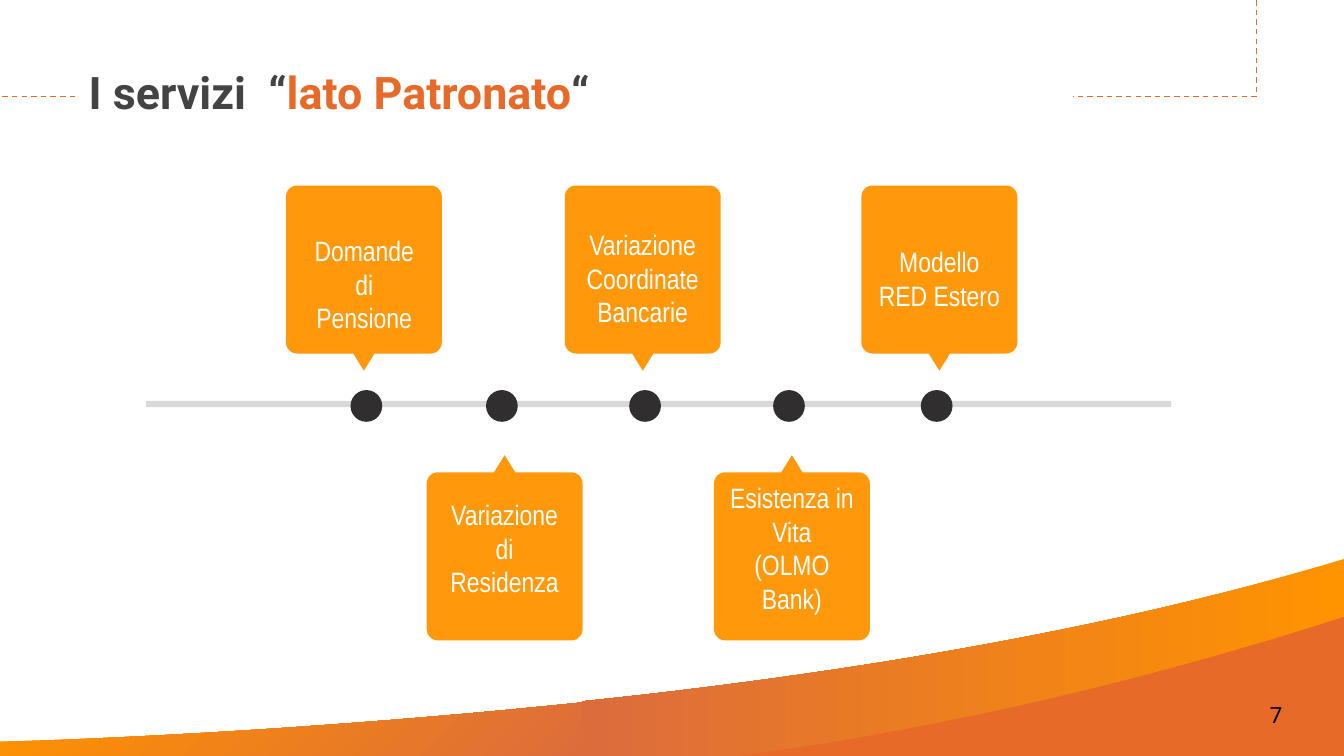
from lxml import etree
from pptx import Presentation
from pptx.dml.color import RGBColor
from pptx.enum.dml import MSO_LINE
from pptx.enum.shapes import MSO_CONNECTOR, MSO_SHAPE
from pptx.enum.text import MSO_ANCHOR, MSO_AUTO_SIZE, PP_ALIGN
from pptx.oxml.ns import qn
from pptx.util import Pt

CENTER, LEFT = PP_ALIGN.CENTER, PP_ALIGN.LEFT
TOP, MIDDLE = MSO_ANCHOR.TOP, MSO_ANCHOR.MIDDLE
DASH = MSO_LINE.DASH
ORANGE = RGBColor(0xFF, 0x98, 0x0B)
BRIGHT_ORANGE = RGBColor(0xFF, 0x93, 0x00)
RUST = RGBColor(0xDC, 0x6C, 0x3C)
ACCENT = RGBColor(0xE7, 0x6A, 0x28)
LIGHT_GRAY = RGBColor(0xD9, 0xD9, 0xD9)
DOT_GRAY = RGBColor(0x31, 0x2E, 0x2F)
TITLE_GRAY = RGBColor(0x43, 0x43, 0x43)
WHITE = RGBColor(0xFF, 0xFF, 0xFF)
BLACK = RGBColor(0x00, 0x00, 0x00)

TITLE_FORMAT = {"name": "Roboto", "size": Pt(24), "bold": True}
LABEL_FORMAT = {"name": "Arial Narrow", "size": Pt(15)}
NUMBER_FORMAT = {"name": "Roboto", "size": Pt(12)}


def curve(start, control_1, control_2, end, steps=24):
    """Return points along a cubic curve."""
    points = []
    for step in range(steps + 1):
        t = step / steps
        weights = ((1 - t) ** 3, 3 * t * (1 - t) ** 2, 3 * t ** 2 * (1 - t), t ** 3)
        corners = (start, control_1, control_2, end)
        points.append(tuple(sum(w * c[axis] for w, c in zip(weights, corners))
                            for axis in (0, 1)))
    return points


def write_text(shape, runs, format_values, alignment, anchor):
    """Fill a shape with one paragraph of coloured runs."""
    frame = shape.text_frame
    frame.auto_size = MSO_AUTO_SIZE.NONE
    frame.word_wrap = True
    frame.vertical_anchor = anchor
    for side in ("left", "top", "right", "bottom"):
        setattr(frame, f"margin_{side}", Pt(7.2))
    paragraph = frame.paragraphs[0]
    paragraph.alignment = alignment
    paragraph.space_before = Pt(0)
    for text, color in runs:
        for index, line in enumerate(text.split("\n")):
            if index:
                paragraph.add_line_break()
            run = paragraph.add_run()
            run.text = line
            run.font.color.rgb = color
            for name, value in format_values.items():
                setattr(run.font, name, value)


presentation = Presentation()
presentation.slide_width, presentation.slide_height = Pt(720), Pt(405)
slide = presentation.slides.add_slide(presentation.slide_layouts[1])
shapes = slide.shapes

# Waves along the bottom: outline, colours, gradient angle
waves = [
    (curve((317.5, 375.8), (138.2, 394.6), (0, 397.4), (0, 397.4))
     + [(0, 405), (317.5, 405)], (BRIGHT_ORANGE, RUST), 315),
    (curve((720, 299.5), (593.3, 338.4), (442.8, 362.2), (311.8, 375.8))
     + [(311.8, 405)]
     + curve((414, 405), (530.6, 389.5), (640.8, 360), (720, 334.8)),
     (BRIGHT_ORANGE, RUST), 180),
    (curve((720, 330.5), (635.8, 357.8), (519.1, 388.8), (396, 405))
     + [(720, 405)], (ACCENT,), None),
]
outlines = list(waves)

# Callouts: left, top, points down, label
CALLOUT_WIDTH, CALLOUT_HEIGHT, BOX_HEIGHT = 83.5, 99.2, 90
RADIUS, POINTER_HALF, PULL = 6, 5.7, 2.7
callouts = [
    (153.2, 99.4, True, None),
    (302.6, 99.4, True, "Variazione Coordinate Bancarie"),
    (228.6, 243.9, False, "Variazione di Residenza"),
    (382.5, 243.9, False, "Esistenza in Vita\n(OLMO Bank)"),
    (461.5, 99.4, True, "Modello RED Estero"),
]
right, middle = CALLOUT_WIDTH, CALLOUT_WIDTH / 2
half_outline = [(middle, CALLOUT_HEIGHT), (middle + POINTER_HALF, BOX_HEIGHT)]
half_outline += curve((right - RADIUS, BOX_HEIGHT), (right - PULL, BOX_HEIGHT),
                      (right, BOX_HEIGHT - PULL), (right, BOX_HEIGHT - RADIUS), 8)
half_outline += curve((right, RADIUS), (right, PULL),
                      (right - PULL, 0), (right - RADIUS, 0), 8)
callout_outline = half_outline + [(right - x, y) for x, y in reversed(half_outline[1:])]
for left, top, points_down, label in callouts:
    outline = [(left + x, top + (y if points_down else CALLOUT_HEIGHT - y))
               for x, y in callout_outline]
    outlines.append((outline, (ORANGE,), None))

# Draw waves and callouts
drawn = []
for points, colors, angle in outlines:
    vertices = [(Pt(x), Pt(y)) for x, y in points]
    builder = shapes.build_freeform(*vertices[0], scale=1.0)
    builder.add_line_segments(vertices[1:], close=True)
    shape = builder.convert_to_shape()
    shape.shadow.inherit = False
    shape.line.fill.background()
    if angle is None:
        shape.fill.solid()
        shape.fill.fore_color.rgb = colors[0]
    else:
        shape.fill.gradient()
        shape.fill.gradient_angle = angle
        for stop, color in zip(shape.fill.gradient_stops, colors):
            stop.color.rgb = color
    drawn.append(shape)
for shape, (_, _, _, label) in zip(drawn[len(waves):], callouts):
    if label:
        write_text(shape, [(label, WHITE)], LABEL_FORMAT, CENTER, MIDDLE)

# Timeline bar and dots
DOT_SIZE, DOT_MIDDLE = 17, 217.5
marks = [(MSO_SHAPE.RECTANGLE, 78.2, 214.8, 549.2, 3.4, LIGHT_GRAY)]
for dot_center in (196.3, 268.9, 345.6, 422.7, 501.8):
    marks.append((MSO_SHAPE.OVAL, dot_center - DOT_SIZE / 2, DOT_MIDDLE - DOT_SIZE / 2,
                  DOT_SIZE, DOT_SIZE, DOT_GRAY))
for kind, left, top, width, height, color in marks:
    shape = shapes.add_shape(kind, Pt(left), Pt(top), Pt(width), Pt(height))
    shape.shadow.inherit = False
    shape.fill.solid()
    shape.fill.fore_color.rgb = color
    shape.line.fill.background()

# Dashed lines beside the title
for x1, y1, x2, y2 in ((673.2, 0, 673.2, 51.8), (673.2, 51.8, 574.6, 51.8),
                       (40.3, 51.8, 0, 51.8)):
    connector = shapes.add_connector(MSO_CONNECTOR.STRAIGHT, Pt(x1), Pt(y1), Pt(x2), Pt(y2))
    connector.line.color.rgb = ACCENT
    connector.line.width = Pt(0.75)
    connector.line.dash_style = DASH
    etree.SubElement(connector._element.spPr, qn("a:effectLst"))

# Title
title = shapes.title
title.left, title.top, title.width, title.height = Pt(40.3), Pt(27.4), Pt(555), Pt(38.2)
write_text(title, [("I servizi  “", TITLE_GRAY), ("lato Patronato", ACCENT),
                   ("“", TITLE_GRAY)], TITLE_FORMAT, LEFT, TOP)

# First callout label, raised above its callout
body = slide.placeholders[1]
body.left, body.top, body.width, body.height = Pt(157), Pt(118), Pt(76.3), Pt(38.2)
properties = body.text_frame.paragraphs[0]._p.get_or_add_pPr()
properties.set("marL", "0")
properties.set("indent", "0")
etree.SubElement(properties, qn("a:buNone"))
write_text(body, [("Domande di Pensione", WHITE)], LABEL_FORMAT, CENTER, TOP)
shapes._spTree.append(body._element)

# Slide number
number = shapes.add_textbox(Pt(673.2), Pt(367.2), Pt(43.2), Pt(31))
write_text(number, [("7", BLACK)], NUMBER_FORMAT, LEFT, MIDDLE)

presentation.save("out.pptx")
